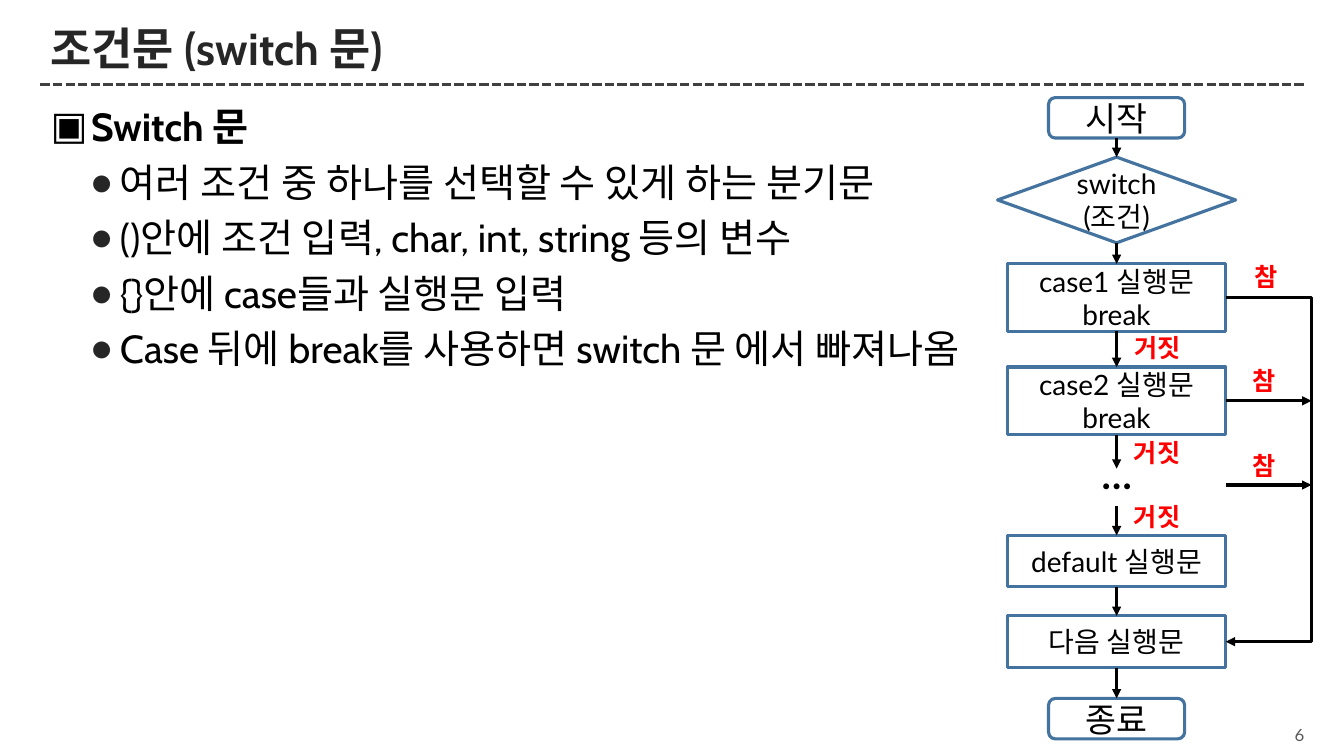
from lxml.etree import SubElement
from pptx import Presentation
from pptx.dml.color import RGBColor
from pptx.enum.dml import MSO_LINE
from pptx.enum.shapes import MSO_CONNECTOR as LINK, MSO_SHAPE as KIND
from pptx.enum.text import MSO_ANCHOR as ANCHOR, MSO_AUTO_SIZE as FIT, PP_ALIGN as ALIGN
from pptx.oxml.ns import qn
from pptx.util import Cm, Pt

COLORS = {"ink": "000000", "title": "262626", "rule": "404040",
          "number": "595959", "border": "43739E", "branch": "FF0000"}
CENTER, BOX_WIDTH, RAIL = 28.14, 5.5, 33.05
BOX_RIGHT = CENTER + BOX_WIDTH / 2

STEPS = [
    ("시작", KIND.ROUNDED_RECTANGLE, 2.46, 3.43, 1.02, 24),
    ("switch\n(조건)", KIND.DIAMOND, 3.96, 6, 2.16, 20),
    ("case1 실행문\nbreak", KIND.RECTANGLE, 6.65, BOX_WIDTH, 1.7, 20),
    ("case2 실행문\nbreak", KIND.RECTANGLE, 9.25, BOX_WIDTH, 1.7, 20),
    ("default 실행문", KIND.RECTANGLE, 13.49, BOX_WIDTH, 1.3, 20),
    ("다음 실행문", KIND.RECTANGLE, 15.52, BOX_WIDTH, 1.3, 20),
    ("종료", KIND.ROUNDED_RECTANGLE, 17.6, 3.43, 1.02, 24),
]
DOTS_GAP = (11.81, 12.75)
BRANCH_LABELS = [
    ("참", 31.14, 6.45), ("참", 31.09, 9.07), ("참", 31.09, 11.23),
    ("거짓", 28.14, 8.26), ("거짓", 28.12, 10.9), ("거짓", 28.12, 12.5),
]
HEADING = "Switch 문"
POINTS = [
    "여러 조건 중 하나를 선택할 수 있게 하는 분기문",
    "()안에 조건 입력, char, int, string 등의 변수",
    "{}안에 case들과 실행문 입력",
    "Case 뒤에 break를 사용하면 switch 문 에서 빠져나옴",
]


def color(name):
    """Return the named colour."""
    return RGBColor.from_string(COLORS[name])


def write(para, text, size, font="Lato", ink="ink", bold=False, align=ALIGN.CENTER):
    """Fill a paragraph with formatted text."""
    para.text = text
    para.alignment = align
    for span in para.runs:
        span.font.name = font
        span.font.size = Pt(size)
        span.font.bold = bold
        span.font.color.rgb = color(ink)


def place(shape, left, top, width, height):
    """Move and size a shape in centimetres."""
    shape.left, shape.top = Cm(left), Cm(top)
    shape.width, shape.height = Cm(width), Cm(height)


def add_label(page, text, left, top, width, height, size, **style):
    """Add a wrapped text box."""
    box = page.shapes.add_textbox(Cm(left), Cm(top), Cm(width), Cm(height))
    box.text_frame.word_wrap = True
    write(box.text_frame.paragraphs[0], text, size, **style)
    return box


def add_step(page, text, kind, top, width, height, size):
    """Add one outlined flowchart step on the centre line."""
    step = page.shapes.add_shape(kind, Cm(CENTER - width / 2), Cm(top), Cm(width), Cm(height))
    step.shadow.inherit = False
    step.fill.background()
    step.line.color.rgb = color("border")
    step.line.width = Pt(2.25)
    step.text_frame.word_wrap = True
    step.text_frame.vertical_anchor = ANCHOR.MIDDLE
    write(step.text_frame.paragraphs[0], text, size)


def style_line(shape, ink="ink", arrow=True):
    """Colour a line and give it an arrowhead at its end."""
    shape.line.color.rgb = color(ink)
    shape.line.width = Pt(2.25)
    if arrow:
        SubElement(shape.line._get_or_add_ln(), qn("a:tailEnd"), type="triangle")


def add_line(page, start, end, **style):
    """Add a straight line between two points."""
    line = page.shapes.add_connector(LINK.STRAIGHT, *map(Cm, start + end))
    style_line(line, **style)
    SubElement(line._element.spPr, qn("a:effectLst"))
    return line


def add_path(page, points):
    """Add an open bent arrow through the points."""
    corners = [(Cm(left), Cm(top)) for left, top in points]
    builder = page.shapes.build_freeform(*corners[0])
    builder.add_line_segments(corners[1:], close=False)
    bend = builder.convert_to_shape()
    bend.shadow.inherit = False
    bend.fill.background()
    style_line(bend)


def set_bullet(para, mark, ink, margin, hanging):
    """Give a paragraph a coloured bullet and a hanging indent."""
    properties = para._p.get_or_add_pPr()
    properties.set("marL", str(Cm(margin)))
    properties.set("indent", str(-Cm(hanging)))
    SubElement(SubElement(properties, qn("a:buClr")), qn("a:srgbClr"), val=COLORS[ink])
    SubElement(properties, qn("a:buChar"), char=mark)


def fill_title(page):
    """Write the title and the dashed rule below it."""
    title = page.shapes.title
    place(title, 1.02, 0.53, 31.9, 1.5)
    title.text_frame.auto_size = FIT.NONE
    title.text_frame.vertical_anchor = ANCHOR.MIDDLE
    para = title.text_frame.paragraphs[0]
    write(para, "조건문 (switch 문)", 32, font="Cabin", ink="title", bold=True, align=ALIGN.LEFT)
    para.line_spacing = 0.9
    rule = add_line(page, (1.02, 2.13), (32.92, 2.13), ink="rule", arrow=False)
    rule.line.dash_style = MSO_LINE.SQUARE_DOT


def fill_body(page):
    """Write the heading and its bulleted points."""
    body = page.placeholders[1]
    place(body, 1.02, 2.46, 24.13, 15.6)
    frame = body.text_frame
    frame.auto_size = FIT.NONE
    heading = frame.paragraphs[0]
    set_bullet(heading, "▣", "ink", 1.02, 1.02)
    write(heading, HEADING, 28, font="Cabin", bold=True, align=ALIGN.LEFT)
    heading.space_before = Pt(0)
    for point in POINTS:
        para = frame.add_paragraph()
        para.level = 1
        set_bullet(para, "●", "title", 1.75, 0.76)
        write(para, point, 28, font="Cabin", align=ALIGN.LEFT)
        para.space_before = Pt(6)


def draw_flow(page):
    """Draw the flowchart of the switch statement."""
    for step in STEPS:
        add_step(page, *step)
    spans = [(upper[2] + upper[4], lower[2]) for upper, lower in zip(STEPS, STEPS[1:])]
    case_end, default_top = spans[3]
    spans[3:4] = [(case_end, DOTS_GAP[0]), (DOTS_GAP[1], default_top)]
    for start, end in spans:
        add_line(page, (CENTER, start), (CENTER, end))
    for height in (10.1, 12.22):
        add_line(page, (BOX_RIGHT, height), (RAIL, height))
    add_path(page, [(BOX_RIGHT, 7.5), (RAIL, 7.5), (RAIL, 16.17), (BOX_RIGHT, 16.17)])
    add_label(page, "…", CENTER - 1.04, 11.23, 2.08, 1.45, 28, bold=True)
    for text, left, top in BRANCH_LABELS:
        width = 1.52 if text == "참" else 2.08
        add_label(page, text, left, top, width, 1.02, 18, ink="branch", bold=True)


def main():
    """Build and save the slide."""
    deck = Presentation()
    deck.slide_width, deck.slide_height = Cm(33.87), Cm(19.05)
    page = deck.slides.add_slide(deck.slide_layouts[1])
    fill_title(page)
    fill_body(page)
    draw_flow(page)
    number = add_label(page, "6", 31.85, 18.11, 1.27, 0.81, 12, ink="number", align=ALIGN.RIGHT)
    number.text_frame.vertical_anchor = ANCHOR.MIDDLE
    deck.save("out.pptx")


if __name__ == "__main__":
    main()
